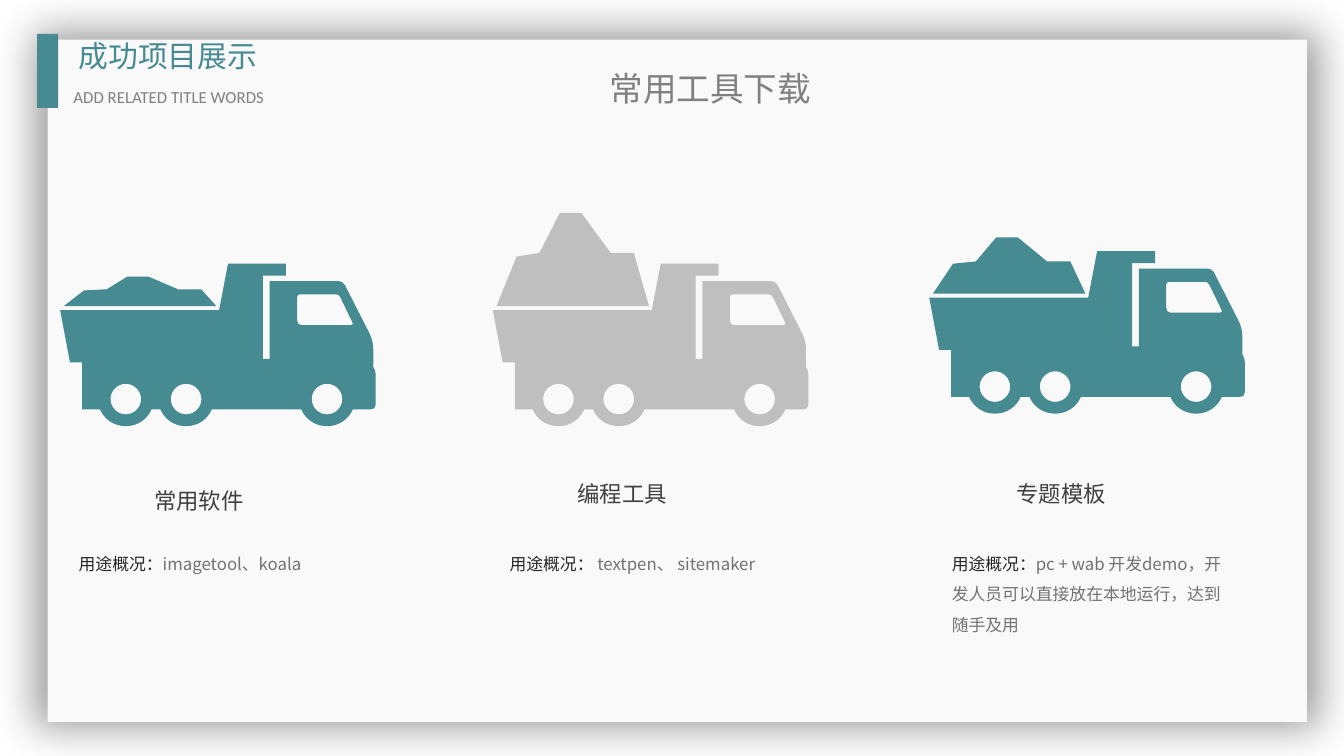
from dataclasses import dataclass

from lxml.etree import SubElement
from pptx import Presentation
from pptx.dml.color import RGBColor
from pptx.enum.shapes import MSO_SHAPE
from pptx.enum.text import MSO_ANCHOR, PP_ALIGN
from pptx.oxml.ns import qn
from pptx.util import Pt


@dataclass(frozen=True)
class Theme:
    teal: str = "468A92"
    silver: str = "BFBFBF"
    panel: str = "F9F9F9"
    grey: str = "808080"
    label: str = "404040"
    dark: str = "262626"
    detail: str = "767171"
    cjk: str = "Noto Sans CJK SC"
    latin: str = "Calibri"
    title_size: float = 18
    section_size: float = 16
    label_size: float = 12
    small_size: float = 9


THEME = Theme()
LINE = 1.17       # line height as a multiple of the type size
LOOSE_LINE = 1.8  # the same for descriptions

# Truck geometry in points from the body's top left corner:
# two numbers are a line's end, six are a Bézier curve's controls and end
AXLE_Y, ARCH_Y, HUB_RADIUS = 72.6, 78.1, 8.2
AXLES = (35.2, 67.5, 143)
CAB_AND_BED = [
    (167.8, 55.4), (167.8, 46.1), (167.8, 42.5, 166.9, 39.6, 165.4, 36.7),
    (152.6, 11.5), (151.9, 10.1, 150.5, 9.4, 149, 9.4),
    (112.3, 9.4), (112.3, 51.1), (108.7, 51.1), (108.7, 6.5), (121, 6.5),
    (121, 0), (90, 0), (85.2, 24.9), (0, 24.9), (5.3, 52.9), (11.8, 52.9),
    (11.8, ARCH_Y),
]
BUMPER = [
    (166.3, ARCH_Y), (168, ARCH_Y, 169.1, 77.1, 169.1, 75.6),
    (169.1, 59.6), (169.1, 57.6, 168.5, 56.9, 167.8, 55.4),
]
WINDOW = [
    (155.8, 33), (129.2, 33), (127.6, 33, 127, 31.8, 127, 30.3),
    (127, 18), (127, 17, 127.6, 16.5, 128.5, 16.5),
    (147.9, 16.5), (148.8, 16.5, 149.6, 17, 150.1, 18),
    (156.6, 31.5), (157.3, 32.2, 156.8, 33, 155.8, 33),
]
# Load profile: x in points, height as a share of the peak
LOAD_BASE = 22.8
LOAD = [(2, 0), (12.8, 0.53), (25, 0.57), (36, 1), (47.4, 1),
        (63.2, 0.57), (75.6, 0.57), (83.7, 0)]


def assign(target, values):
    for name, value in values.items():
        setattr(target, name, value)


def paint(shape, color):
    shape.shadow.inherit = False
    shape.fill.solid()
    shape.fill.fore_color.rgb = RGBColor.from_string(color)
    shape.line.fill.background()


def add_block(slide, box, color):
    block = slide.shapes.add_shape(MSO_SHAPE.RECTANGLE, *map(Pt, box))
    paint(block, color)
    return block


def add_glow(shape, blur, opacity, scale):
    effects = shape._element.spPr.find(qn("a:effectLst"))
    spread = str(scale * 1000)
    shadow = SubElement(effects, qn("a:outerShdw"), blurRad=str(Pt(blur)),
                        sx=spread, sy=spread, algn="ctr", rotWithShape="0")
    black = SubElement(shadow, qn("a:srgbClr"), val="000000")
    SubElement(black, qn("a:alpha"), val=str(opacity * 1000))


def write(frame, runs, size, align=PP_ALIGN.LEFT, font=THEME.cjk,
          line=LINE, insets=(7.2, 3.6), wrap=True):
    """Fill a text frame with one paragraph of (text, colour) runs."""
    across, down = map(Pt, insets)
    assign(frame, dict(word_wrap=wrap, vertical_anchor=MSO_ANCHOR.TOP,
                       margin_left=across, margin_right=across,
                       margin_top=down, margin_bottom=down))
    paragraph = frame.paragraphs[0]
    assign(paragraph, dict(alignment=align, line_spacing=Pt(size * line),
                           space_before=Pt(0)))
    for text, color in runs:
        run = paragraph.add_run()
        run.text = text
        assign(run.font, dict(name=font, size=Pt(size), bold=False))
        run.font.color.rgb = RGBColor.from_string(color)
        latin = run.font._element.find(qn("a:latin"))
        east_asian = latin.makeelement(qn("a:ea"), {"typeface": THEME.cjk})
        latin.addnext(east_asian)


def add_text(slide, box, runs, size, **options):
    frame = slide.shapes.add_textbox(*map(Pt, box)).text_frame
    write(frame, runs, size, **options)


def wheel_arch(x):
    bottom = 87.1
    return [(x - 13.8, ARCH_Y),
            (x - 11.5, 83.5, x - 6.3, bottom, x, bottom),
            (x + 6.3, bottom, x + 11.5, 83.5, x + 13.8, ARCH_Y)]


def hub(x):
    y, r = AXLE_Y, HUB_RADIUS
    k = r * 0.55
    return [(x, y + r), (x - k, y + r, x - r, y + k, x - r, y),
            (x - r, y - k, x - k, y - r, x, y - r),
            (x + k, y - r, x + r, y - k, x + r, y),
            (x + r, y + k, x + k, y + r, x, y + r)]


def bend(shape, segments):
    """Turn the straight segments that have control points into curves."""
    lines = list(shape._element.iter(qn("a:lnTo")))
    for line, segment in zip(lines, segments):
        if len(segment) == 2:
            continue
        curve = line.makeelement(qn("a:cubicBezTo"), {})
        for x, y in zip(segment[::2], segment[1::2]):
            SubElement(curve, qn("a:pt"), x=str(Pt(x) - shape.left),
                       y=str(Pt(y) - shape.top))
        line.getparent().replace(line, curve)


def add_outline(slide, left, top, contours, color):
    placed = [[tuple(value + (top if index % 2 else left)
                     for index, value in enumerate(segment))
               for segment in contour] for contour in contours]
    builder = None
    for contour in placed:
        start, *ends = [tuple(map(Pt, segment[-2:])) for segment in contour]
        if builder:
            builder.move_to(*start)
        else:
            builder = slide.shapes.build_freeform(*start)
        # A contour that ends on its start needs no closing line
        builder.add_line_segments(ends, close=False)
    outline = builder.convert_to_shape()
    bend(outline, [segment for contour in placed for segment in contour[1:]])
    paint(outline, color)


def add_truck(slide, left, top, peak, color):
    load = [(x, LOAD_BASE - share * peak) for x, share in LOAD]
    arches = [segment for x in AXLES for segment in wheel_arch(x)]
    body = CAB_AND_BED + arches + BUMPER
    add_outline(slide, left, top, [load + load[:1]], color)
    add_outline(slide, left, top, [body, *map(hub, AXLES), WINDOW], color)


def main():
    deck = Presentation()
    assign(deck, dict(slide_width=Pt(720), slide_height=Pt(405)))
    slide = deck.slides.add_slide(deck.slide_layouts[5])

    # Panel and section heading
    panel = add_block(slide, (25.5, 21.2, 674.7, 365.6), THEME.panel)
    add_glow(panel, blur=23, opacity=40, scale=102)
    add_block(slide, (19.9, 18.2, 11.3, 39.6), THEME.teal)
    heading = dict(align=PP_ALIGN.JUSTIFY, insets=(5.4, 2.7))
    add_text(slide, (36.7, 18.2, 144.7, 25.2), [("成功项目展示", THEME.teal)],
             THEME.section_size, **heading)
    add_text(slide, (34, 43.9, 160.6, 16.6),
             [("ADD RELATED TITLE WORDS", THEME.grey)],
             THEME.small_size, font=THEME.latin, **heading)

    # Page title, brought in front of the panel
    title = slide.shapes.title
    assign(title, dict(left=Pt(315), top=Pt(33.1),
                       width=Pt(131), height=Pt(28.8)))
    write(title.text_frame, [("常用工具下载", THEME.grey)], THEME.title_size,
          align=PP_ALIGN.CENTER, font=THEME.latin)
    panel._element.getparent().append(title._element)

    # Tool groups: truck (left, top, load peak, colour), label, description
    groups = [
        ((32.2, 141.2, 15.8, THEME.teal), "常用软件", (74.9, 257.8),
         "imagetool、koala", (35.1, 177.8)),
        ((264, 141.2, 50, THEME.silver), "编程工具", (301.7, 254.2),
         " textpen、 sitemaker", (265.9, 163.4)),
        ((497.8, 134.5, 30.2, THEME.teal), "专题模板", (536.9, 254.2),
         "pc + wab 开发demo，开发人员可以直接放在本地运行，达到随手及用",
         (502.8, 163.4)),
    ]
    for truck, label, label_at, detail, (left, width) in groups:
        add_truck(slide, *truck)
        add_text(slide, (*label_at, 63.4, 21.6), [(label, THEME.label)],
                 THEME.label_size, align=PP_ALIGN.CENTER, wrap=False)
        add_text(slide, (left, 287.8, width, 54.7),
                 [("用途概况：", THEME.dark), (detail, THEME.detail)],
                 THEME.small_size, line=LOOSE_LINE)

    deck.save("out.pptx")


if __name__ == "__main__":
    main()
